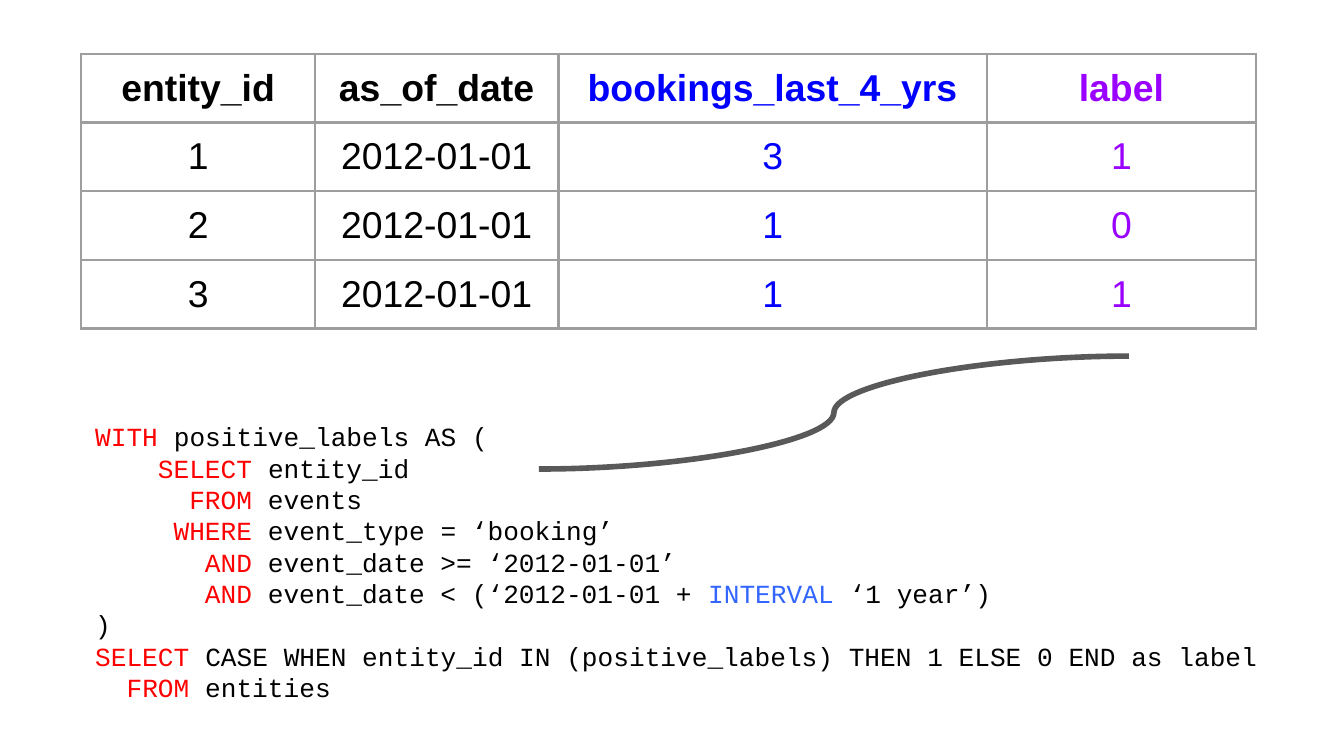
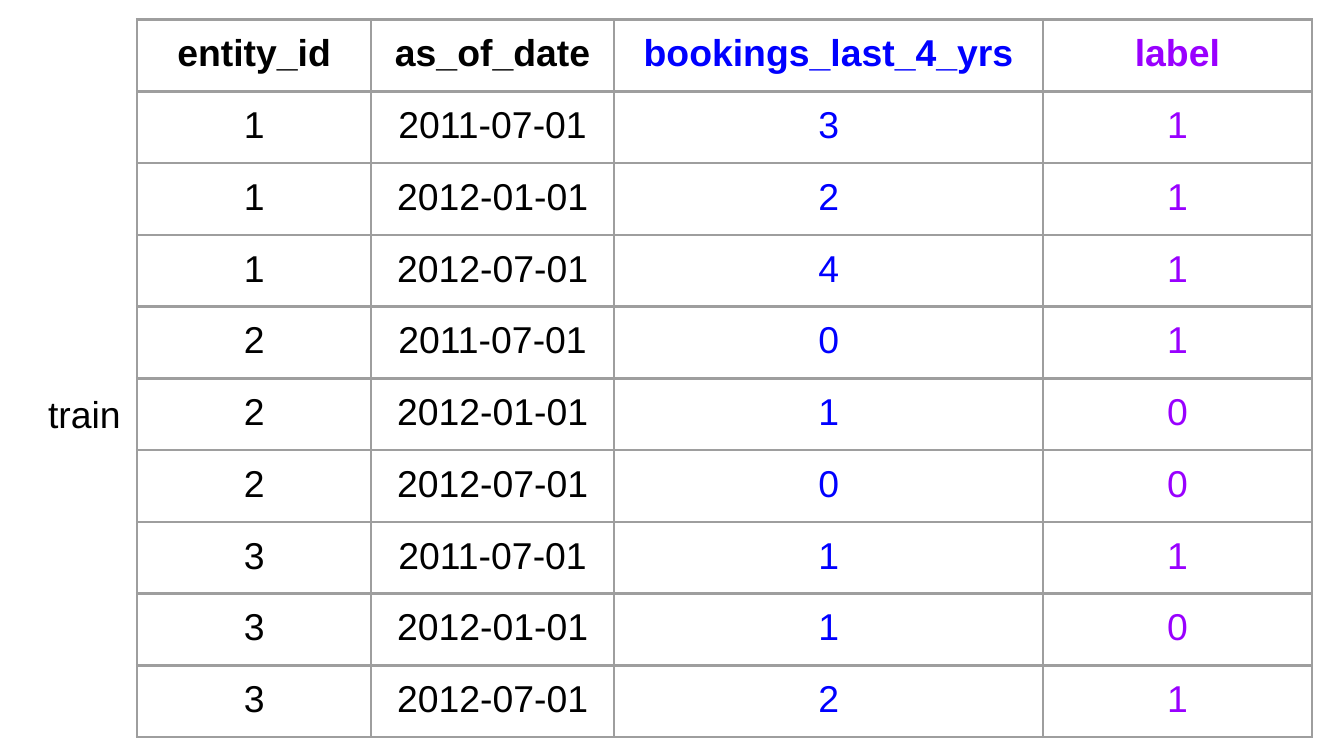
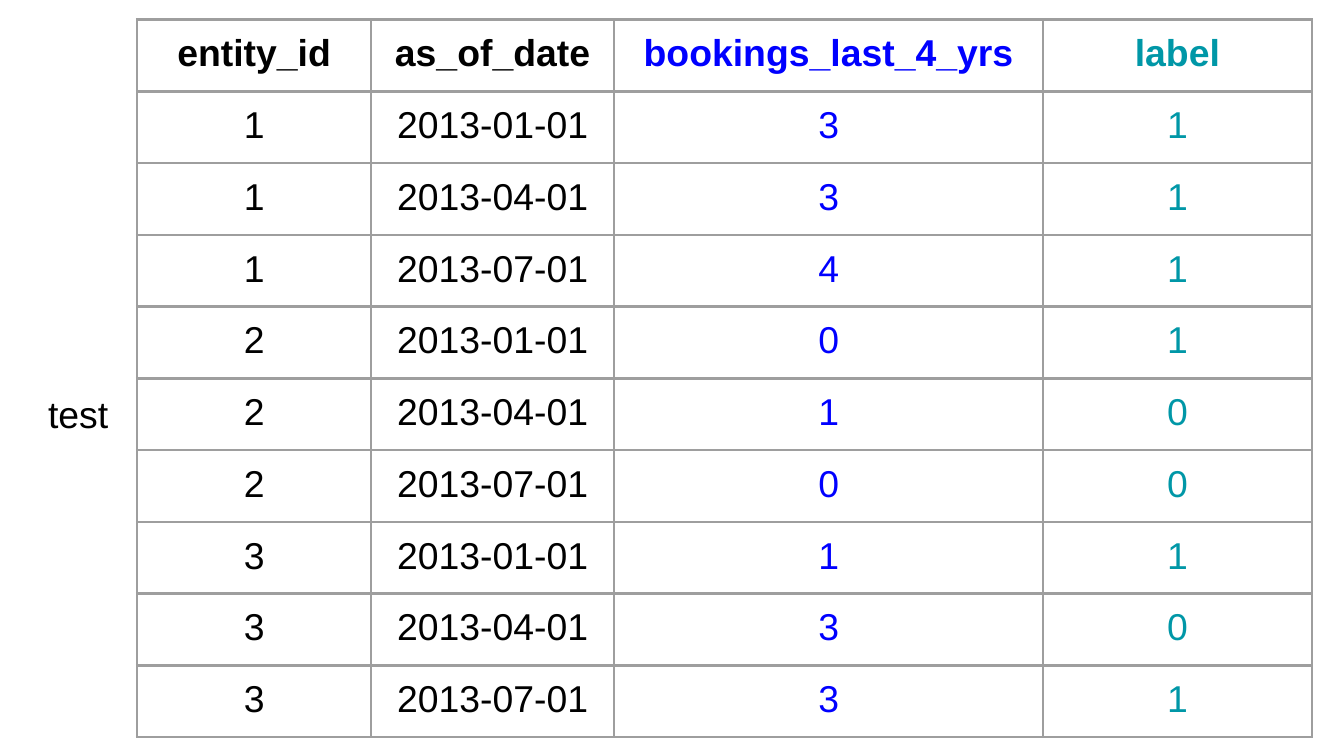
from itertools import product

from lxml.etree import SubElement
from pptx import Presentation
from pptx.dml.color import RGBColor
from pptx.enum.shapes import MSO_CONNECTOR
from pptx.enum.text import MSO_AUTO_SIZE, PP_ALIGN
from pptx.oxml.ns import qn
from pptx.util import Pt

BLACK = RGBColor(0x00, 0x00, 0x00)
BLUE = RGBColor(0x00, 0x00, 0xFF)
PURPLE = RGBColor(0x99, 0x00, 0xFF)
TEAL = RGBColor(0x00, 0x97, 0xA7)
RED = RGBColor(0xFF, 0x00, 0x00)
SKY = RGBColor(0x33, 0x66, 0xFF)
GRAY = RGBColor(0x59, 0x59, 0x59)
BORDER = RGBColor(0x9E, 0x9E, 0x9E)

BODY_FONT = "Arial"
BODY_SIZE = 20
CODE_FONT = "Courier New"
CODE_SIZE = 14
CODE_CHARACTER = 0.6 * CODE_SIZE
CODE_LINE = 1.2 * CODE_SIZE
INSET = 7.2

HEADERS = ["entity_id", "as_of_date", "bookings_last_4_yrs", "label"]
COLUMN_WIDTHS = [125.3, 130.3, 229.7, 144]
ROW_HEIGHT = 29.5
FRAME_ROW_HEIGHT = 38.36
ENTITIES = ["1", "2", "3"]

EXAMPLE = {"dates": ["2012-01-01"], "bookings": "311", "labels": "101"}
SPLITS = [
    {
        "name": "train",
        "dates": ["2011-07-01", "2012-01-01", "2012-07-01"],
        "bookings": "324010112",
        "labels": "111100101",
        "label_color": PURPLE,
    },
    {
        "name": "test",
        "dates": ["2013-01-01", "2013-04-01", "2013-07-01"],
        "bookings": "334010133",
        "labels": "111100101",
        "label_color": TEAL,
    },
]

QUERY = [
    (0, [("WITH ", RED), ("positive_labels AS (", BLACK)]),
    (4, [("SELECT ", RED), ("entity_id", BLACK)]),
    (6, [("FROM", RED), (" events", BLACK)]),
    (5, [("WHERE ", RED), ("event_type = ‘booking’", BLACK)]),
    (7, [("AND ", RED), ("event_date >= ‘2012-01-01’", BLACK)]),
    (7, [("AND ", RED), ("event_date < (‘2012-01-01 + ", BLACK),
         ("INTERVAL", SKY), (" ‘1 year’)", BLACK)]),
    (0, [(")", BLACK)]),
    (0, [("SELECT ", RED),
         ("CASE WHEN entity_id IN (positive_labels) THEN 1 ELSE 0 END as label", BLACK)]),
    (2, [("FROM ", RED), ("entities", BLACK)]),
]


def set_font(font, name, size, color=None, bold=False):
    font.name = name
    font.size = Pt(size)
    font.bold = bold
    if color is not None:
        font.color.rgb = color


def add_borders(cell):
    properties = cell._tc.get_or_add_tcPr()
    for position, side in enumerate(["lnL", "lnR", "lnT", "lnB"]):
        line = SubElement(properties, qn(f"a:{side}"), w=str(Pt(1.5)))
        fill = SubElement(line, qn("a:solidFill"))
        SubElement(fill, qn("a:srgbClr"), val=str(BORDER))
        properties.insert(position, line)


def fill_cell(cell, text, color, bold):
    cell.fill.background()
    cell.margin_left = cell.margin_right = Pt(INSET)
    cell.margin_top = cell.margin_bottom = Pt(INSET)
    para = cell.text_frame.paragraphs[0]
    para.text = text
    para.alignment = PP_ALIGN.CENTER
    set_font(para.font, BODY_FONT, BODY_SIZE, color, bold)
    add_borders(cell)


def add_bookings_table(page, left, top, data, label_color):
    keys = product(ENTITIES, data["dates"])
    records = [
        (entity, date, bookings, label)
        for (entity, date), bookings, label in zip(keys, data["bookings"], data["labels"])
    ]
    rows = [HEADERS] + records
    colors = [BLACK, BLACK, BLUE, label_color]
    frame = page.shapes.add_table(
        len(rows), len(HEADERS), Pt(left), Pt(top),
        Pt(sum(COLUMN_WIDTHS)), Pt(ROW_HEIGHT * len(rows)))
    table = frame.table
    table.first_row = False
    table.horz_banding = False
    for column, width in zip(table.columns, COLUMN_WIDTHS):
        column.width = Pt(width)
    for index, row in enumerate(rows):
        table.rows[index].height = Pt(ROW_HEIGHT)
        for cell, text, color in zip(table.rows[index].cells, row, colors):
            fill_cell(cell, text, color, bold=index == 0)
    frame.height = Pt(FRAME_ROW_HEIGHT * len(rows))


def add_query(page):
    box = page.shapes.add_textbox(Pt(43.9), Pt(221.8), Pt(642.2), Pt(177.1))
    frame = box.text_frame
    frame.word_wrap = False
    frame.auto_size = MSO_AUTO_SIZE.SHAPE_TO_FIT_TEXT
    for index, (indent, spans) in enumerate(QUERY):
        para = frame.paragraphs[0] if index == 0 else frame.add_paragraph()
        para.line_spacing = Pt(CODE_LINE)
        set_font(para.font, CODE_FONT, CODE_SIZE)
        properties = para._p.get_or_add_pPr()
        properties.set("marL", str(Pt(indent * CODE_CHARACTER)))
        properties.set("indent", "0")
        for text, color in spans:
            span = para.add_run()
            span.text = text
            span.font.color.rgb = color


def add_label_curve(page):
    curve = page.shapes.add_connector(
        MSO_CONNECTOR.CURVE, Pt(604.8), Pt(190.8), Pt(288.7), Pt(251.3))
    curve.line.color.rgb = GRAY
    curve.line.width = Pt(3)
    SubElement(curve._element.spPr, qn("a:effectLst"))


def add_split_name(page, name):
    box = page.shapes.add_textbox(Pt(18.7), Pt(202.3), Pt(54.7), Pt(38.2))
    frame = box.text_frame
    frame.word_wrap = True
    frame.margin_left = frame.margin_right = Pt(INSET)
    frame.margin_top = frame.margin_bottom = Pt(INSET)
    para = frame.paragraphs[0]
    para.text = name
    set_font(para.font, BODY_FONT, BODY_SIZE, BLACK)


def main():
    deck = Presentation()
    deck.slide_width = Pt(720)
    deck.slide_height = Pt(405)
    blank = deck.slide_layouts[6]

    page = deck.slides.add_slide(blank)
    add_bookings_table(page, 43.5, 29, EXAMPLE, PURPLE)
    add_query(page)
    add_label_curve(page)

    for split in SPLITS:
        page = deck.slides.add_slide(blank)
        add_bookings_table(page, 73.5, 10.5, split, split["label_color"])
        add_split_name(page, split["name"])

    deck.save("out.pptx")


if __name__ == "__main__":
    main()
